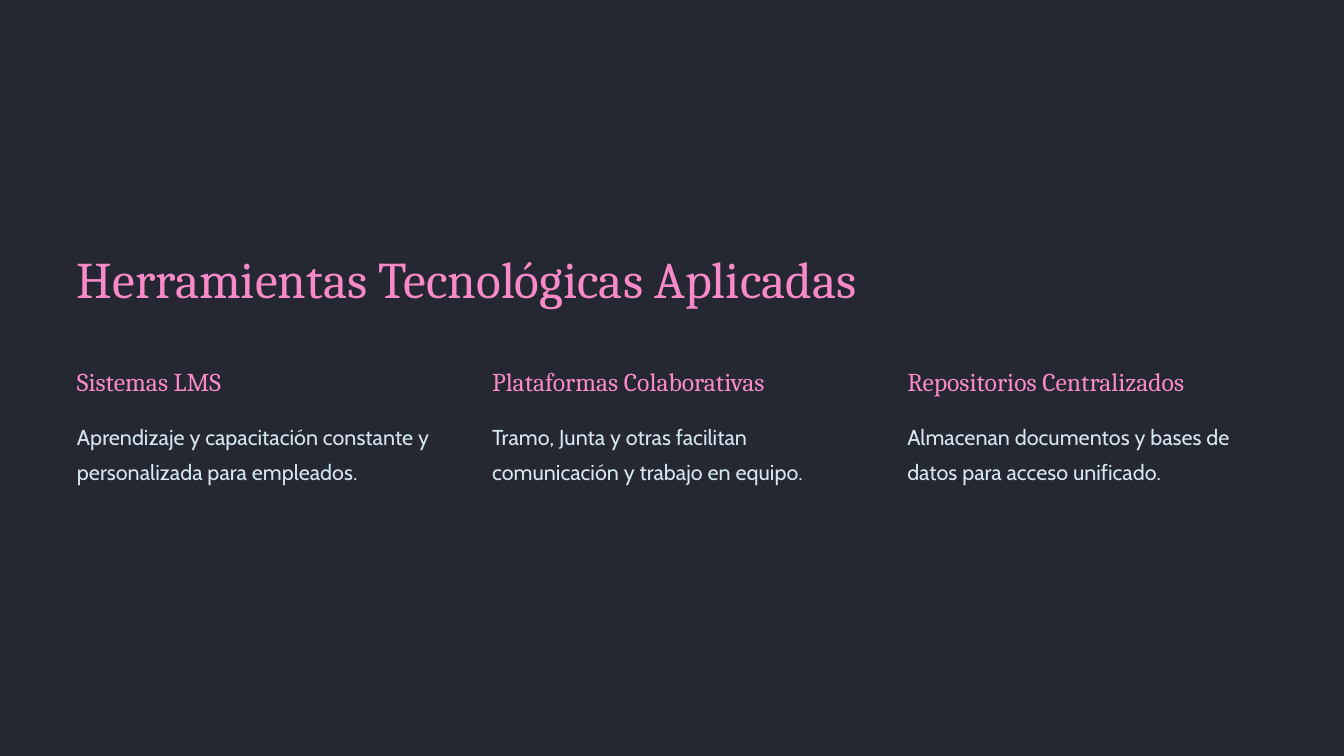
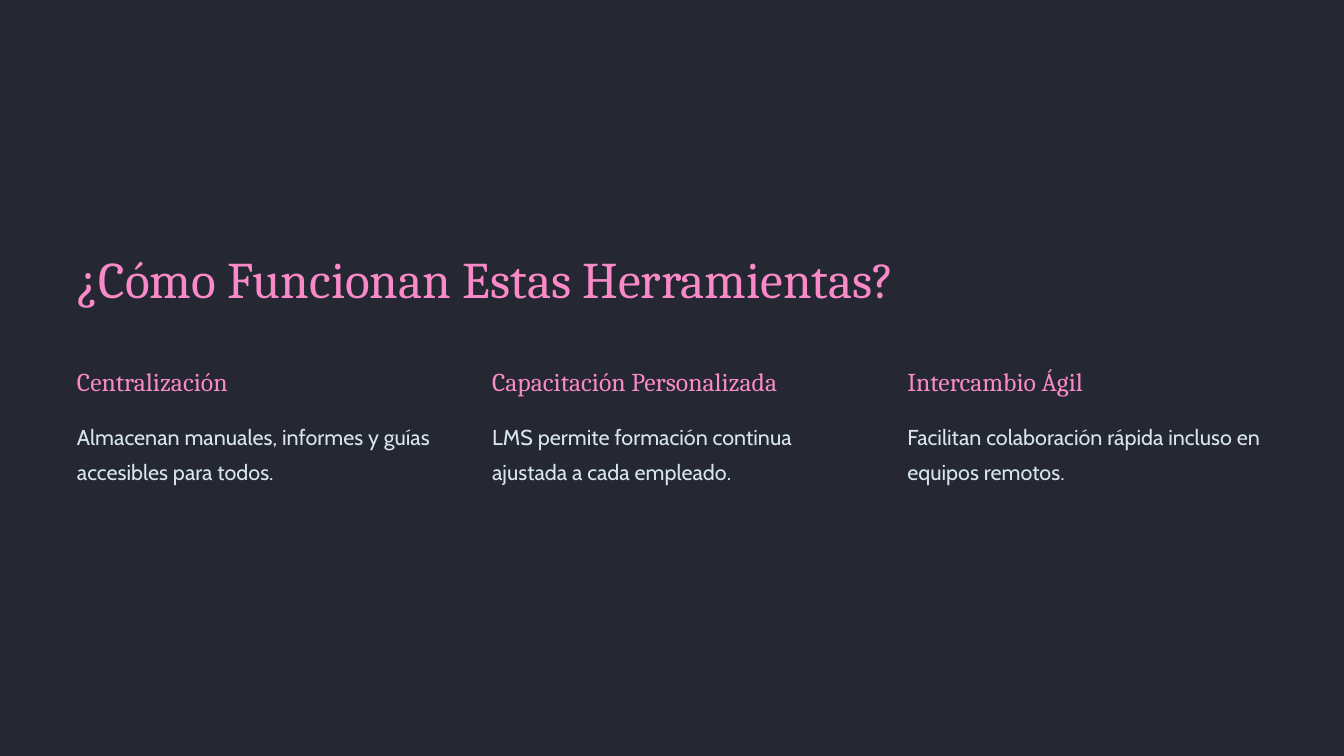
from pptx import Presentation
from pptx.dml.color import RGBColor
from pptx.enum.shapes import MSO_SHAPE
from pptx.util import Pt

BASE = RGBColor(0x18, 0x1A, 0x24)
NIGHT = RGBColor(0x25, 0x28, 0x33)
PINK = RGBColor(0xF9, 0x8A, 0xC7)
PALE = RGBColor(0xD6, 0xE5, 0xEF)

# Shared text styles
TITLE = dict(size=55, lead=68.8, font="Cambria", color=PINK)
HEAD = dict(size=27.5, lead=34.4, font="Cambria", color=PINK)
BODY = dict(size=23.1, lead=37.5, font="Cabin", color=PALE)

# Page layout in points
WIDE, HIGH = 1440, 810
LEFT = 82.5
COL = 386.6
STEP = 444.8

SLIDES = [
    ("Herramientas Tecnológicas Aplicadas", [
        ("Sistemas LMS",
         "Aprendizaje y capacitación constante y personalizada para empleados."),
        ("Plataformas Colaborativas",
         "Tramo, Junta y otras facilitan comunicación y trabajo en equipo."),
        ("Repositorios Centralizados",
         "Almacenan documentos y bases de datos para acceso unificado."),
    ]),
    ("¿Cómo Funcionan Estas Herramientas?", [
        ("Centralización",
         "Almacenan manuales, informes y guías accesibles para todos."),
        ("Capacitación Personalizada",
         "LMS permite formación continua ajustada a cada empleado."),
        ("Intercambio Ágil",
         "Facilitan colaboración rápida incluso en equipos remotos."),
    ]),
]


def add_text(slide, text, box, *, size, lead, font, color):
    shape = slide.shapes.add_textbox(*map(Pt, box))
    frame = shape.text_frame
    frame.word_wrap = True
    frame.margin_left = frame.margin_right = 0
    frame.margin_top = frame.margin_bottom = 0
    para = frame.paragraphs[0]
    para.line_spacing = Pt(lead)
    run = para.add_run()
    run.text = text
    run.font.size = Pt(size)
    run.font.name = font
    run.font.color.rgb = color


def add_panel(slide, box, color):
    panel = slide.shapes.add_shape(MSO_SHAPE.RECTANGLE, *map(Pt, box))
    panel.shadow.inherit = False
    panel.fill.solid()
    panel.fill.fore_color.rgb = color
    panel.line.fill.background()


def add_column(slide, head, body, box):
    x, y, w, h = box
    drop = 54
    add_text(slide, head, (x, y, w, 36), **HEAD)
    add_text(slide, body, (x, y + drop, w, h - drop), **BODY)


def add_page(deck, title, items):
    slide = deck.slides.add_slide(deck.slide_layouts[6])
    # Dark base and the panel over it
    fill = slide.background.fill
    fill.solid()
    fill.fore_color.rgb = BASE
    add_panel(slide, (0, 0, WIDE, HIGH), NIGHT)
    # Title
    add_text(slide, title, (LEFT, 262, 984, 70.6), **TITLE)
    # Equal columns
    for i, (head, body) in enumerate(items):
        add_column(slide, head, body, (LEFT + i * STEP, 390.2, COL, 135.4))


def main():
    deck = Presentation()
    deck.slide_width, deck.slide_height = Pt(WIDE), Pt(HIGH)
    for title, items in SLIDES:
        add_page(deck, title, items)
    deck.save("out.pptx")


if __name__ == "__main__":
    main()
